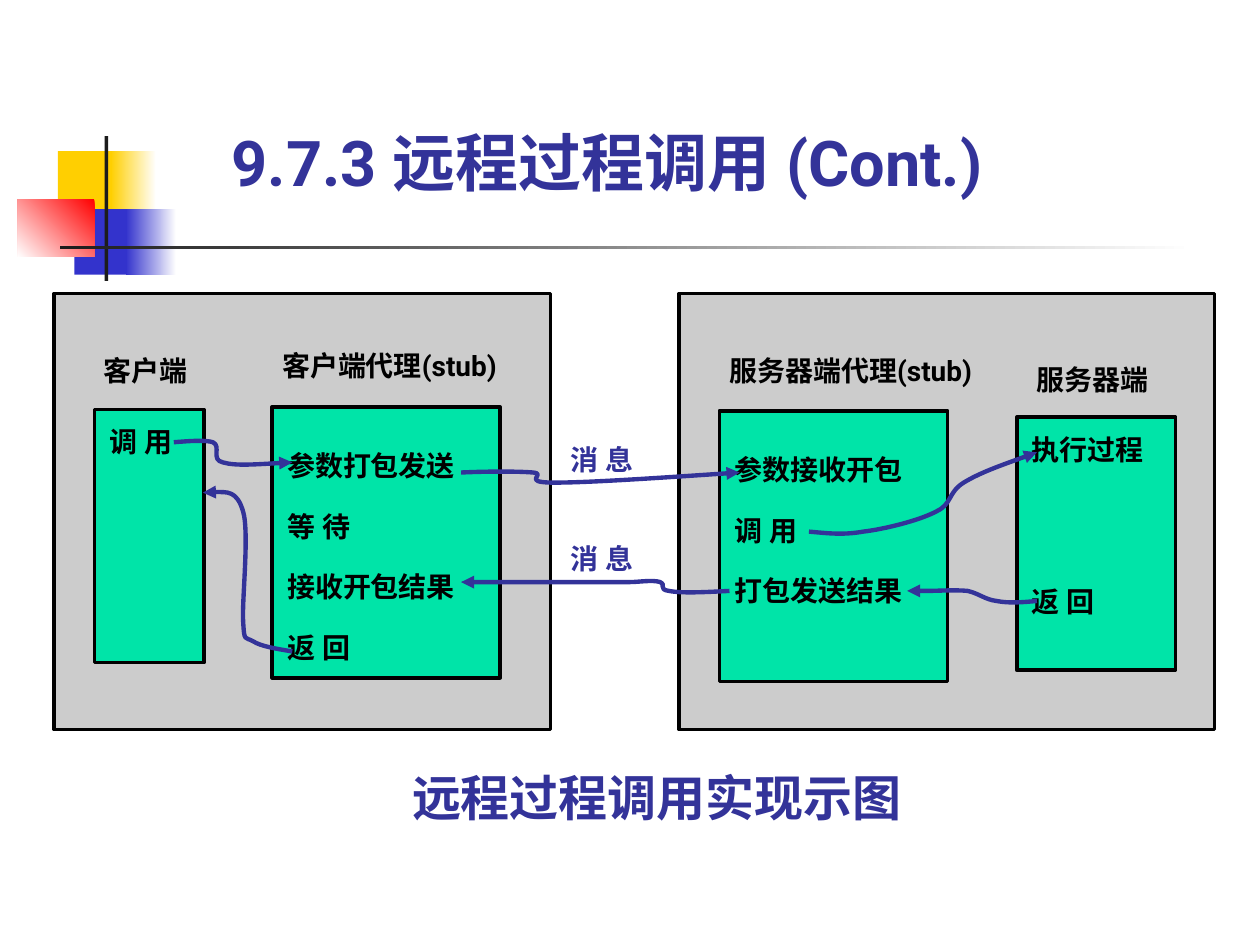
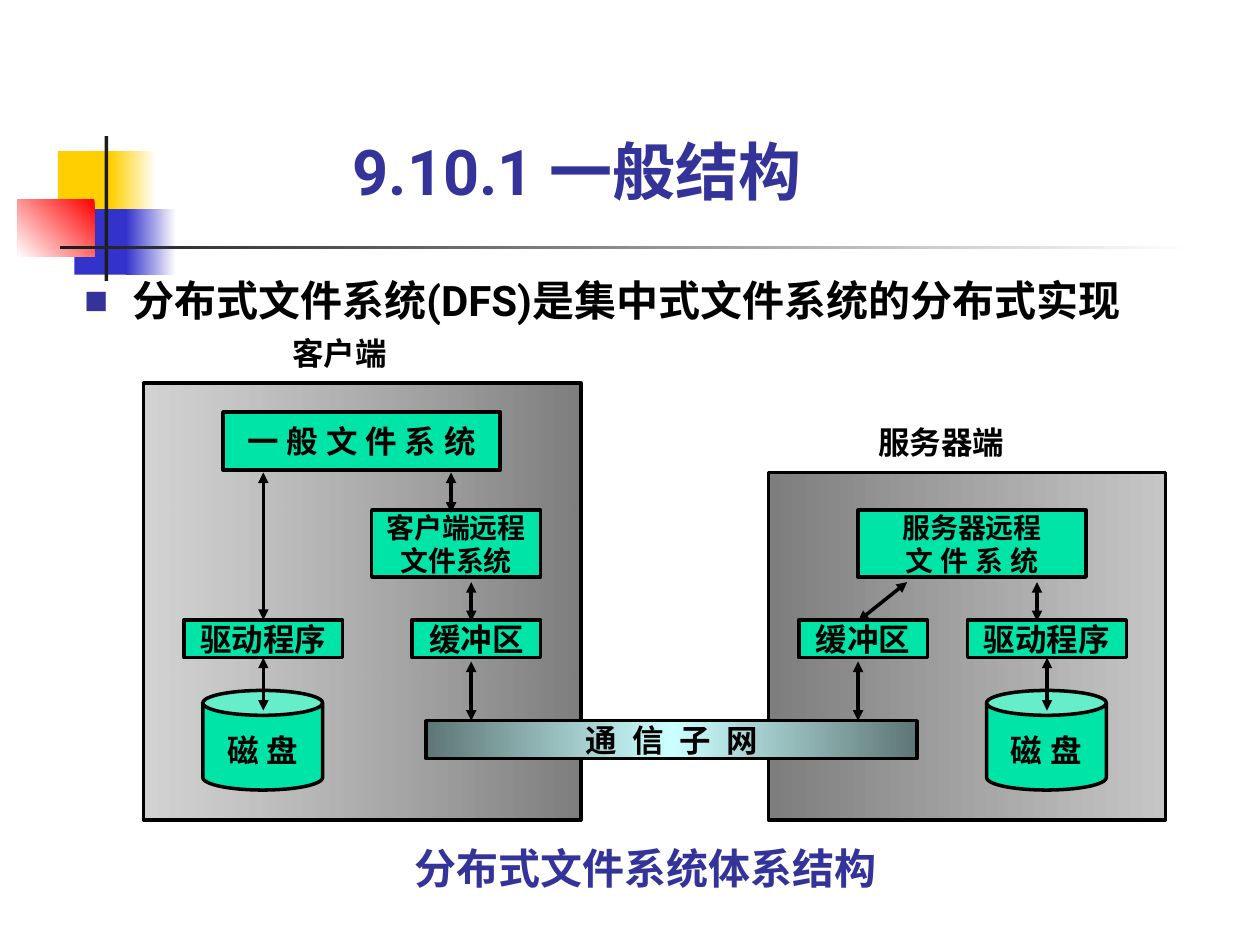
from dataclasses import dataclass
from typing import NamedTuple, Optional

from lxml import etree
from pptx import Presentation, oxml
from pptx.dml import color
from pptx.enum import shapes, text
from pptx.oxml import ns
from pptx.util import Inches, Pt


# Theme: every colour, font and type size
@dataclass(frozen=True)
class Theme:
    font: str = "Roboto"
    serif: str = "Times New Roman"
    black: str = "000000"
    accent: str = "333399"
    green: str = "00E4A8"
    gray: str = "C0C0C0"
    dark_gray: str = "7E7E7E"
    teal: str = "5E7575"
    ice: str = "CCFFFF"
    white: str = "FFFFFF"
    yellow: str = "FFCF01"
    blue: str = "3333CC"
    red: str = "FF0000"
    ink: str = "1C1C1C"
    title: int = 36
    caption: int = 28
    body: int = 24
    node: int = 18
    label: int = 16
    outline: float = 2
    curve: float = 2.5


THEME = Theme()
LEFT, CENTER = text.PP_ALIGN.LEFT, text.PP_ALIGN.CENTER
RECT, CAN = shapes.MSO_SHAPE.RECTANGLE, shapes.MSO_SHAPE.CAN


class Area(NamedTuple):
    left: float
    top: float
    width: float
    height: float

    def lengths(self) -> list:
        return [Inches(value) for value in self]


class Stop(NamedTuple):
    position: int
    color: str
    alpha: int = 100


@dataclass(frozen=True)
class Fill:
    stops: tuple
    angle: int = 180


@dataclass(frozen=True)
class Style:
    size: int = THEME.label
    color: str = THEME.black
    align: object = LEFT
    insets: tuple = (0, 0, 0, 0)
    line_spacing: Optional[float] = None
    gap: float = 0
    tracking: int = 0


@dataclass(frozen=True)
class Arrow:
    start: tuple
    end: tuple
    start_box: object = None
    end_box: object = None


# Text
def format_span(span, style: Style, font: str = THEME.font) -> None:
    span.font.size, span.font.bold, span.font.name = Pt(style.size), True, font
    span.font.color.rgb = color.RGBColor.from_string(style.color)
    properties = span._r.get_or_add_rPr()
    etree.SubElement(properties, ns.qn("a:ea"), typeface=THEME.font)
    if style.tracking:
        properties.set("spc", str(style.tracking))


def set_frame(frame, style: Style, anchor=text.MSO_ANCHOR.TOP) -> None:
    frame.word_wrap, frame.auto_size = True, text.MSO_AUTO_SIZE.NONE
    frame.vertical_anchor = anchor
    (frame.margin_left, frame.margin_top,
     frame.margin_right, frame.margin_bottom) = map(Inches, style.insets)


def write(box, words: str, style: Style) -> None:
    frame = box.text_frame
    frame.text = words
    set_frame(frame, style)
    for number, para in enumerate(frame.paragraphs):
        para.alignment = style.align
        para.space_before = Pt(style.gap if number else 0)
        if style.line_spacing:
            para.line_spacing = style.line_spacing
        for span in para.runs:
            format_span(span, style)


def add_label(page, area: Area, words: str, style: Style = Style()) -> None:
    write(page.shapes.add_textbox(*area.lengths()), words, style)


def add_title(page, area: Area, spans: list) -> None:
    title, style = page.shapes.title, Style(THEME.title, THEME.accent)
    title.left, title.top, title.width, title.height = area.lengths()
    set_frame(title.text_frame, style, text.MSO_ANCHOR.BOTTOM)
    para = title.text_frame.paragraphs[0]
    para.alignment = LEFT
    for words, font in spans:
        span = para.add_run()
        span.text = words
        format_span(span, style, font)


# Shapes
def gradient_xml(fill: Fill):
    stops = "".join(
        f'<a:gs pos="{stop.position * 1000}"><a:srgbClr val="{stop.color}">'
        f'<a:alpha val="{stop.alpha * 1000}"/></a:srgbClr></a:gs>' for stop in fill.stops)
    return oxml.parse_xml(
        f'<a:gradFill {ns.nsdecls("a")} rotWithShape="1"><a:gsLst>{stops}</a:gsLst>'
        f'<a:lin ang="{fill.angle * 60000}" scaled="0"/></a:gradFill>')


def set_line(shape, width: float, hue: str = THEME.black) -> None:
    shape.line.color.rgb = color.RGBColor.from_string(hue)
    shape.line.width = Pt(width)


def add_box(page, area: Area, fill, words: str = "", style: Style = Style(),
            kind=RECT, outlined: bool = True, alpha: int = 100):
    box = page.shapes.add_shape(kind, *area.lengths())
    box.shadow.inherit = False
    properties = box._element.spPr
    if isinstance(fill, Fill):
        box.fill.gradient()
        properties.replace(properties.find(ns.qn("a:gradFill")), gradient_xml(fill))
    else:
        box.fill.solid()
        box.fill.fore_color.rgb = color.RGBColor.from_string(fill)
        if alpha < 100:
            hue = properties.find(f'{ns.qn("a:solidFill")}/{ns.qn("a:srgbClr")}')
            etree.SubElement(hue, ns.qn("a:alpha"), val=str(alpha * 1000))
    if outlined:
        set_line(box, THEME.outline)
    else:
        box.line.fill.background()
    if words:
        write(box, words, style)
    return box


def add_heads(shape, *ends: str) -> None:
    line = shape.line._get_or_add_ln()
    for end in ends:
        etree.SubElement(line, ns.qn(f"a:{end}"), type="triangle")


def add_curve(page, points: list) -> None:
    """Draw a curved arrow: a start, then three points for each Bezier piece."""
    start, *others = [(Inches(x), Inches(y)) for x, y in points]
    builder = page.shapes.build_freeform(*start)
    builder.add_line_segments(others, close=False)
    curve = builder.convert_to_shape()
    outline = curve._element.find(f'.//{ns.qn("a:path")}')
    corners = outline.findall(ns.qn("a:lnTo"))
    for first in range(0, len(corners), 3):
        piece = etree.SubElement(outline, ns.qn("a:cubicBezTo"))
        for corner in corners[first:first + 3]:
            piece.append(corner[0])
            outline.remove(corner)
    curve.shadow.inherit = False
    curve.fill.background()
    set_line(curve, THEME.curve, THEME.accent)
    add_heads(curve, "tailEnd")


def add_arrow(page, arrow: Arrow) -> None:
    link = page.shapes.add_connector(
        shapes.MSO_CONNECTOR.STRAIGHT, *map(Inches, arrow.start + arrow.end))
    if arrow.start_box is not None:
        link.begin_connect(arrow.start_box, 2)
    if arrow.end_box is not None:
        link.end_connect(arrow.end_box, 0)
    set_line(link, THEME.outline)
    add_heads(link, "headEnd", "tailEnd")
    etree.SubElement(link._element.spPr, ns.qn("a:effectLst"))


# Shared ornament, drawn once and kept on the slide master
def decorate_master(deck, page) -> None:
    def fade(hue: str) -> Fill:
        return Fill((Stop(0, THEME.white), Stop(100, hue)))

    ornament = [
        (Area(0.46, 1.2, 0.48, 0.52), THEME.yellow),
        (Area(0.88, 1.2, 0.36, 0.52), fade(THEME.yellow)),
        (Area(0.59, 1.66, 0.46, 0.52), THEME.blue),
        (Area(1, 1.66, 0.4, 0.52), fade(THEME.blue)),
        (Area(0.14, 1.58, 0.61, 0.46),
         Fill((Stop(0, THEME.red), Stop(100, THEME.white)), 135)),
        (Area(0.83, 1.08, 0.03, 1.15), THEME.ink),
        (Area(0.48, 1.95, 9, 0.03), fade(THEME.ink)),
    ]
    for number, (area, fill) in enumerate(ornament):
        element = add_box(page, area, fill, outlined=False)._element
        element.nvSpPr.cNvPr.set("id", str(100 + number))
        deck.slide_master.shapes._spTree.insert(2 + number, element)


# Slide 1: remote procedure call
def build_call_slide(page) -> None:
    add_title(page, Area(1.84, 0.85, 6.77, 0.73), [
        ("9.7.3 ", THEME.font), ("远程过程调用 ", THEME.serif), ("(Cont.)", THEME.font)])
    for left, width in ((5.39, 4.25), (0.43, 3.94)):
        add_box(page, Area(left, 2.33, width, 3.46), THEME.gray, alpha=80)

    plain = Style(insets=(0.12, 0.12, 0, 0))
    stub = Style(insets=(0.12, 0.12, 0, 0.12), line_spacing=1.8)
    spread = Style(insets=(0.12, 0.12, 0.12, 0), gap=68)
    parties = [
        ("客户端", Area(0.82, 2.81, 0.87, 0.27), Area(0.75, 3.25, 0.87, 2.01), "调 用", plain),
        ("客户端代理(stub)", Area(2.24, 2.77, 1.81, 0.27), Area(2.16, 3.23, 1.81, 2.15),
         "参数打包发送\n等 待\n接收开包结果\n返 回", stub),
        ("服务器端代理(stub)", Area(5.79, 2.81, 2.05, 0.27), Area(5.71, 3.26, 1.81, 2.15),
         "参数接收开包\n调 用\n打包发送结果", stub),
        ("服务器端", Area(8.23, 2.88, 1.1, 0.27), Area(8.07, 3.31, 1.26, 2.01),
         "执行过程\n返 回", spread),
    ]
    for heading, heading_area, area, steps, style in parties:
        add_label(page, heading_area, heading)
        add_box(page, area, THEME.green, steps, style)
    for top in (3.51, 4.3):
        add_label(page, Area(4.53, top, 0.87, 0.27), "消 息", Style(color=THEME.accent))

    curves = [
        [(3.66, 3.75), (3.88, 3.74), (4.11, 3.74), (4.23, 3.75), (4.35, 3.76),
         (4.12, 3.83), (4.4, 3.83), (4.67, 3.83), (5.27, 3.79), (5.87, 3.75)],
        [(6.42, 4.22), (6.55, 4.23), (6.68, 4.25), (6.85, 4.22), (7.02, 4.2),
         (7.3, 4.13), (7.43, 4.06), (7.56, 4), (7.52, 3.91), (7.65, 3.83),
         (7.78, 3.75), (8.01, 3.67), (8.23, 3.59)],
        [(8.23, 4.77), (8.12, 4.78), (8.01, 4.79), (7.91, 4.77), (7.82, 4.76),
         (7.77, 4.71), (7.68, 4.69), (7.58, 4.68), (7.44, 4.69), (7.36, 4.69),
         (7.28, 4.69), (7.24, 4.69), (7.2, 4.69)],
        [(1.38, 3.51), (1.5, 3.5), (1.63, 3.49), (1.69, 3.51), (1.76, 3.54),
         (1.67, 3.65), (1.77, 3.67), (1.87, 3.7), (2.1, 3.68), (2.32, 3.67)],
        [(5.79, 4.69), (5.6, 4.7), (5.41, 4.71), (5.31, 4.69), (5.22, 4.68),
         (5.29, 4.63), (5.24, 4.62), (5.18, 4.6), (5.07, 4.62), (5, 4.62),
         (4.93, 4.62), (5.06, 4.62), (4.84, 4.62), (4.62, 4.62), (4.14, 4.62), (3.66, 4.62)],
        [(2.32, 5.17), (2.2, 5.15), (2.07, 5.13), (2.01, 5.09), (1.94, 5.05),
         (1.94, 5.1), (1.93, 4.93), (1.92, 4.76), (1.98, 4.23), (1.93, 4.06),
         (1.88, 3.89), (1.74, 3.9), (1.61, 3.91)],
    ]
    for points in curves:
        add_curve(page, points)
    add_label(page, Area(3.27, 5.95, 4.02, 0.61), "远程过程调用实现示图",
              Style(THEME.caption, THEME.accent, line_spacing=1.3))


# Slide 2: distributed file system
def add_bullet(page, area: Area, words: str) -> None:
    body = page.placeholders[1]
    body.left, body.top, body.width, body.height = area.lengths()
    write(body, words, Style(THEME.body))
    properties = body.text_frame.paragraphs[0]._p.get_or_add_pPr()
    properties.set("marL", str(Inches(0.38)))
    properties.set("indent", str(Inches(-0.38)))
    hue = etree.SubElement(properties, ns.qn("a:buClr"))
    etree.SubElement(hue, ns.qn("a:srgbClr"), val=THEME.accent)
    etree.SubElement(properties, ns.qn("a:buSzPct"), val="60000")
    etree.SubElement(properties, ns.qn("a:buFont"), typeface=THEME.font)
    etree.SubElement(properties, ns.qn("a:buChar"), char="■")


def build_file_system_slide(page) -> None:
    add_title(page, Area(2.8, 0.92, 3.94, 0.73), [("9.10.1 一般结构", THEME.font)])
    add_bullet(page, Area(0.67, 2.18, 8.51, 0.4), "分布式文件系统(DFS)是集中式文件系统的分布式实现")

    # Client and server panels
    add_box(page, Area(6.1, 3.75, 3.15, 2.76),
            Fill((Stop(0, THEME.gray, 90), Stop(100, THEME.dark_gray))))
    add_box(page, Area(1.14, 3.04, 3.47, 3.47),
            Fill((Stop(0, THEME.dark_gray), Stop(100, THEME.gray, 70))))
    add_label(page, Area(2.32, 2.65, 0.87, 0.3), "客户端", Style(THEME.node))
    add_label(page, Area(6.97, 3.36, 1.18, 0.3), "服务器端", Style(THEME.node))

    # File system layers
    node, remote = Style(THEME.node, align=CENTER), Style(align=CENTER)
    add_box(page, Area(1.77, 3.27, 2.2, 0.46), THEME.green, "一 般 文 件 系 统",
            Style(THEME.node, align=CENTER, insets=(0, 0.08, 0, 0.08)))
    add_box(page, Area(2.95, 4.05, 1.34, 0.53), THEME.green, "客户端远程\n文件系统", remote)
    add_box(page, Area(6.81, 4.05, 1.81, 0.53), THEME.green, "服务器远程\n文 件 系 统", remote)

    # Buffer, driver and disk on each side
    drivers = []
    for buffer_left, driver_left in ((3.27, 1.46), (6.34, 7.68)):
        add_box(page, Area(buffer_left, 4.92, 1.02, 0.3), THEME.green, "缓冲区", node)
        drivers.append(
            add_box(page, Area(driver_left, 4.92, 1.26, 0.3), THEME.green, "驱动程序", node))
        add_box(page, Area(driver_left + 0.15, 5.48, 0.95, 0.79), THEME.green, kind=CAN)
        add_label(page, Area(driver_left + 0.19, 5.8, 0.87, 0.3), "磁 盘", node)
    add_box(page, Area(3.38, 5.72, 3.9, 0.3),
            Fill((Stop(0, THEME.teal), Stop(50, THEME.ice), Stop(100, THEME.teal))),
            "通 信 子 网", Style(THEME.node, align=CENTER, tracking=225))

    client_driver, server_driver = drivers
    for arrow in (
        Arrow((2.09, 3.75), (2.09, 4.93), end_box=client_driver),
        Arrow((2.09, 5.25), (2.09, 5.64), start_box=client_driver),
        Arrow((3.58, 3.75), (3.58, 4.07)),
        Arrow((3.74, 4.62), (3.74, 4.93)),
        Arrow((3.74, 5.25), (3.74, 5.72)),
        Arrow((6.81, 5.25), (6.81, 5.72)),
        Arrow((7.2, 4.62), (6.81, 4.93)),
        Arrow((8.23, 4.62), (8.23, 4.93)),
        Arrow((8.31, 5.25), (8.31, 5.64), start_box=server_driver),
    ):
        add_arrow(page, arrow)
    add_label(page, Area(3.19, 6.64, 4.17, 0.5), "分布式文件系统体系结构",
              Style(THEME.body, THEME.accent, insets=(0.1, 0.05, 0.1, 0.05)))


def main() -> None:
    deck = Presentation()
    deck.slide_width, deck.slide_height = Inches(10), Inches(7.5)
    call_page = deck.slides.add_slide(deck.slide_layouts[5])
    decorate_master(deck, call_page)
    build_call_slide(call_page)
    build_file_system_slide(deck.slides.add_slide(deck.slide_layouts[1]))
    deck.save("out.pptx")


if __name__ == "__main__":
    main()
